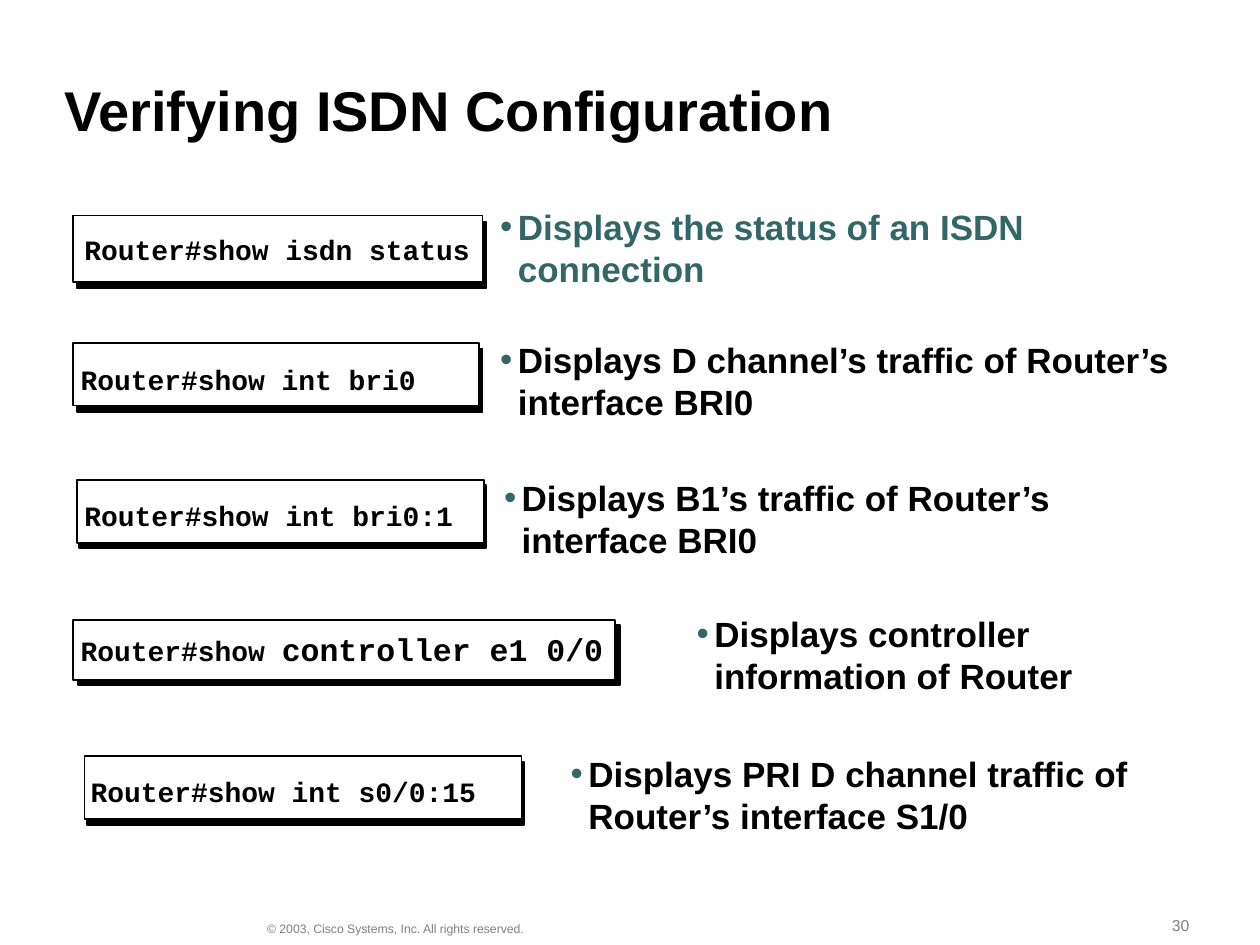
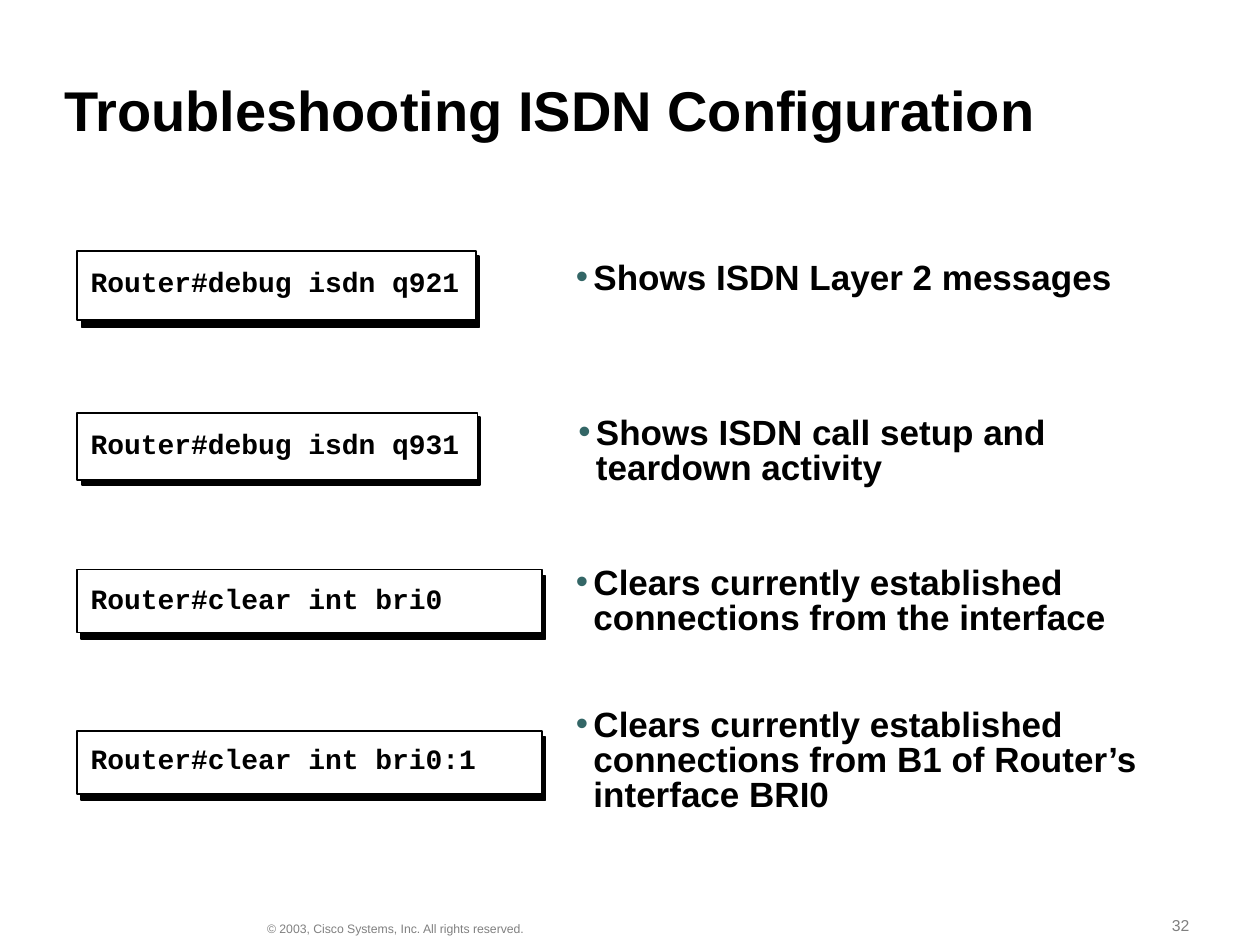
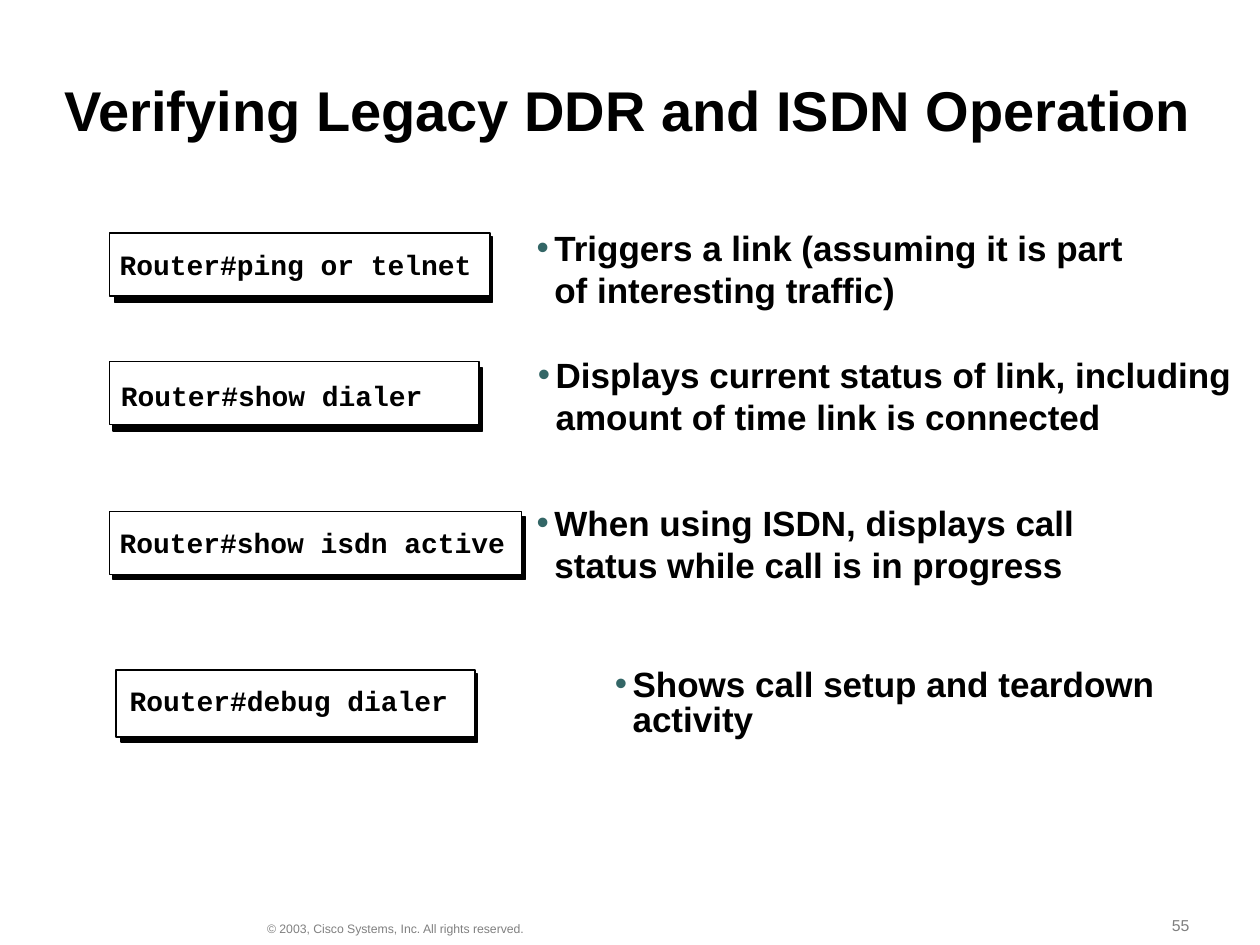
from dataclasses import dataclass, field
from typing import Any, NamedTuple

import pptx
import pptx.dml.color
import pptx.enum.shapes
import pptx.enum.text
import pptx.oxml
import pptx.oxml.ns
import pptx.util

PX = 9144
ANCHOR = pptx.enum.text.MSO_ANCHOR
FIT = pptx.enum.text.MSO_AUTO_SIZE


class Box(NamedTuple):
    left: int
    top: int
    width: int
    height: int

    def emu(self) -> list[int]:
        return [length * PX for length in self]


class Letters(NamedTuple):
    font: str
    size: int
    color: str
    bold: bool


@dataclass(frozen=True)
class Theme:
    black: str = "000000"
    white: str = "FFFFFF"
    teal: str = "336666"
    gray: str = "808080"
    sans: str = "Arial"
    mono: str = "Courier New"
    title_size: int = 32
    description_size: int = 20
    command_size: int = 16
    argument_size: int = 18
    number_size: int = 9
    copyright_size: int = 7


THEME = Theme()
TITLE = Letters(THEME.sans, THEME.title_size, THEME.black, True)
DESCRIPTION = Letters(THEME.sans, THEME.description_size, THEME.black, True)
COMMAND = Letters(THEME.mono, THEME.command_size, THEME.black, True)
ARGUMENT = COMMAND._replace(size=THEME.argument_size)
NUMBER = Letters(THEME.sans, THEME.number_size, THEME.gray, False)
COPYRIGHT = NUMBER._replace(size=THEME.copyright_size)


@dataclass(frozen=True)
class Layout:
    insets: tuple[int, int, int, int]
    frame: dict[str, Any] = field(default_factory=dict)
    paragraph: dict[str, Any] = field(default_factory=dict)
    bullet: bool = False


def fixed(points: float) -> dict[str, Any]:
    return {"line_spacing": pptx.util.Pt(points)}


GROW = {"word_wrap": True, "auto_size": FIT.SHAPE_TO_FIT_TEXT}
GROW_WIDE = GROW | {"word_wrap": False}
MIDDLE = {"vertical_anchor": ANCHOR.MIDDLE}
BOTTOM = {"vertical_anchor": ANCHOR.BOTTOM}

TITLE_LAYOUT = Layout((9, 4, 9, 4), {"word_wrap": True} | BOTTOM, {"line_spacing": 0.9})
FOOTER_LAYOUT = Layout((9, 4, 9, 4), GROW_WIDE | BOTTOM)


class Spacing(NamedTuple):
    command: Layout
    description: Layout


LOOSE = Spacing(
    Layout((2, 3, 2, 3), {"word_wrap": False},
           fixed(20.2) | {"space_after": pptx.util.Pt(9)}),
    Layout((11, 5, 11, 5), GROW, bullet=True),
)
TIGHT = Spacing(
    Layout((0, 0, 0, 3), GROW_WIDE | MIDDLE, fixed(20)),
    Layout((0, 0, 0, 5), GROW | MIDDLE, fixed(20), bullet=True),
)


@dataclass(frozen=True)
class CommandRow:
    command: str
    description: str
    panel: Box
    command_box: Box
    description_box: Box
    spacing: Spacing = LOOSE
    shadow: Box = Box(3, 5, 0, 0)
    argument: str = ""
    description_color: str = THEME.black


@dataclass(frozen=True)
class CommandSlide:
    title: str
    number: str
    rows: list[CommandRow]
    title_width: int = 834


DEBUG_SHADOW = Box(4, 3, -2, 1)

SLIDES = [
    CommandSlide("Verifying ISDN Configuration", "30", [
        CommandRow("Router#show isdn status", "Displays the status of an ISDN connection",
                   Box(58, 171, 325, 53), Box(65, 180, 327, 63), Box(386, 158, 562, 78),
                   description_color=THEME.teal),
        CommandRow("Router#show int bri0",
                   "Displays D channel’s traffic of Router’s interface BRI0",
                   Box(58, 272, 322, 50), Box(62, 283, 327, 42), Box(386, 264, 561, 78)),
        CommandRow("Router#show int bri0:1", "Displays B1’s traffic of Router’s interface BRI0",
                   Box(61, 381, 323, 50), Box(65, 391, 327, 42), Box(389, 373, 561, 78),
                   shadow=Box(2, 4, 0, 0)),
        CommandRow("Router#show ", "Displays controller information of Router",
                   Box(58, 492, 430, 48), Box(62, 499, 429, 51), Box(542, 481, 433, 78),
                   shadow=Box(4, 4, 0, 0), argument="controller e1 0/0"),
        CommandRow("Router#show int s0/0:15",
                   "Displays PRI D channel traffic of Router’s interface S1/0",
                   Box(67, 600, 347, 50), Box(70, 610, 327, 42), Box(442, 592, 514, 78),
                   shadow=Box(2, 5, 0, 0)),
    ]),
    CommandSlide("Troubleshooting ISDN Configuration", "32", [
        CommandRow("Router#debug isdn q921", "Shows ISDN Layer 2 messages",
                   Box(61, 199, 317, 55), Box(72, 209, 293, 31), Box(457, 208, 497, 33),
                   TIGHT, Box(4, 4, -2, 2)),
        CommandRow("Router#debug isdn q931", "Shows ISDN call setup and teardown activity",
                   Box(61, 328, 318, 53), Box(72, 337, 293, 31), Box(459, 331, 497, 61),
                   TIGHT, DEBUG_SHADOW),
        CommandRow("Router#clear int bri0",
                   "Clears currently established\nconnections from the interface",
                   Box(61, 452, 369, 50), Box(72, 460, 353, 31), Box(457, 450, 469, 61),
                   TIGHT),
        CommandRow("Router#clear int bri0:1",
                   "Clears currently established\n"
                   "connections from B1 of Router’s interface BRI0",
                   Box(61, 580, 369, 50), Box(72, 587, 353, 31), Box(457, 563, 469, 89),
                   TIGHT),
    ]),
    CommandSlide("Verifying Legacy DDR and ISDN Operation", "55", [
        CommandRow("Router#ping or telnet",
                   "Triggers a link (assuming it is part of interesting traffic)",
                   Box(87, 185, 302, 50), Box(93, 192, 327, 62), Box(415, 175, 494, 78),
                   shadow=Box(4, 3, -2, 2)),
        CommandRow("Router#show dialer",
                   "Displays current status of link, including amount of time link is connected",
                   Box(87, 287, 293, 50), Box(94, 296, 327, 63), Box(416, 276, 574, 78)),
        CommandRow("Router#show isdn active",
                   "When using ISDN, displays call status while call is in progress",
                   Box(87, 406, 327, 50), Box(93, 413, 327, 62), Box(415, 393, 501, 78),
                   shadow=Box(3, 4, 0, 0)),
        CommandRow("Router#debug dialer", "Shows call setup and teardown\nactivity",
                   Box(92, 532, 285, 53), Box(103, 541, 253, 31), Box(488, 531, 435, 61),
                   TIGHT, DEBUG_SHADOW),
    ], title_width=917),
]


def apply(target: Any, values: dict[str, Any]) -> None:
    for name, value in values.items():
        setattr(target, name, value)


def rgb(color: str) -> pptx.dml.color.RGBColor:
    return pptx.dml.color.RGBColor.from_string(color)


def write(paragraph: Any, text: str, letters: Letters) -> None:
    for index, line in enumerate(text.split("\n")):
        if index:
            paragraph.add_line_break()
        run = paragraph.add_run()
        run.text = line
        apply(run.font, {"name": letters.font, "size": pptx.util.Pt(letters.size),
                         "bold": letters.bold})
        run.font.color.rgb = rgb(letters.color)


def add_bullet(paragraph: Any) -> None:
    properties = paragraph._p.get_or_add_pPr()
    properties.set("marL", str(14 * PX))
    properties.set("indent", str(-14 * PX))
    namespace = pptx.oxml.ns.nsdecls("a")
    for markup in (
        f'<a:buClr {namespace}><a:srgbClr val="{THEME.teal}"/></a:buClr>',
        f'<a:buSzPct {namespace} val="100000"/>',
        f'<a:buFont {namespace} typeface="{THEME.sans}"/>',
        f'<a:buChar {namespace} char="•"/>',
    ):
        properties.append(pptx.oxml.parse_xml(markup))


def add_text(slide: Any, box: Box, text: str, letters: Letters, layout: Layout) -> Any:
    frame = slide.shapes.add_textbox(*box.emu()).text_frame
    sides = ("margin_left", "margin_top", "margin_right", "margin_bottom")
    apply(frame, dict(zip(sides, (inset * PX for inset in layout.insets))) | layout.frame)
    paragraph = frame.paragraphs[0]
    if layout.bullet:
        add_bullet(paragraph)
    apply(paragraph, layout.paragraph)
    write(paragraph, text, letters)
    return paragraph


def add_panel(slide: Any, face: Box, shadow: Box) -> None:
    group = slide.shapes.add_group_shape()
    shadow_box = Box(*(length + change for length, change in zip(face, shadow)))
    for box, color in ((shadow_box, THEME.black), (face, THEME.white)):
        panel = group.shapes.add_shape(
            pptx.enum.shapes.MSO_SHAPE.RECTANGLE, *box.emu())
        panel.shadow.inherit = False
        panel.fill.solid()
        panel.fill.fore_color.rgb = rgb(color)
        panel.line.color.rgb = rgb(THEME.black)
        panel.line.width = pptx.util.Pt(1)


def add_row(slide: Any, row: CommandRow) -> None:
    add_panel(slide, row.panel, row.shadow)
    command = add_text(slide, row.command_box, row.command, COMMAND, row.spacing.command)
    if row.argument:
        write(command, row.argument, ARGUMENT)
    add_text(slide, row.description_box, row.description,
             DESCRIPTION._replace(color=row.description_color), row.spacing.description)


def add_slide(deck: Any, content: CommandSlide) -> None:
    slide = deck.slides.add_slide(deck.slide_layouts[6])
    slide.background.fill.solid()
    slide.background.fill.fore_color.rgb = rgb(THEME.white)
    add_text(slide, Box(921, 722, 75, 24), content.number, NUMBER, FOOTER_LAYOUT)
    add_text(slide, Box(203, 726, 222, 21),
             "© 2003, Cisco Systems, Inc. All rights reserved.", COPYRIGHT, FOOTER_LAYOUT)
    add_text(slide, Box(42, 26, content.title_width, 92), content.title, TITLE, TITLE_LAYOUT)
    for row in content.rows:
        add_row(slide, row)


def main() -> None:
    deck = pptx.Presentation()
    apply(deck, {"slide_width": 1000 * PX, "slide_height": 750 * PX})
    for content in SLIDES:
        add_slide(deck, content)
    deck.save("out.pptx")


if __name__ == "__main__":
    main()
